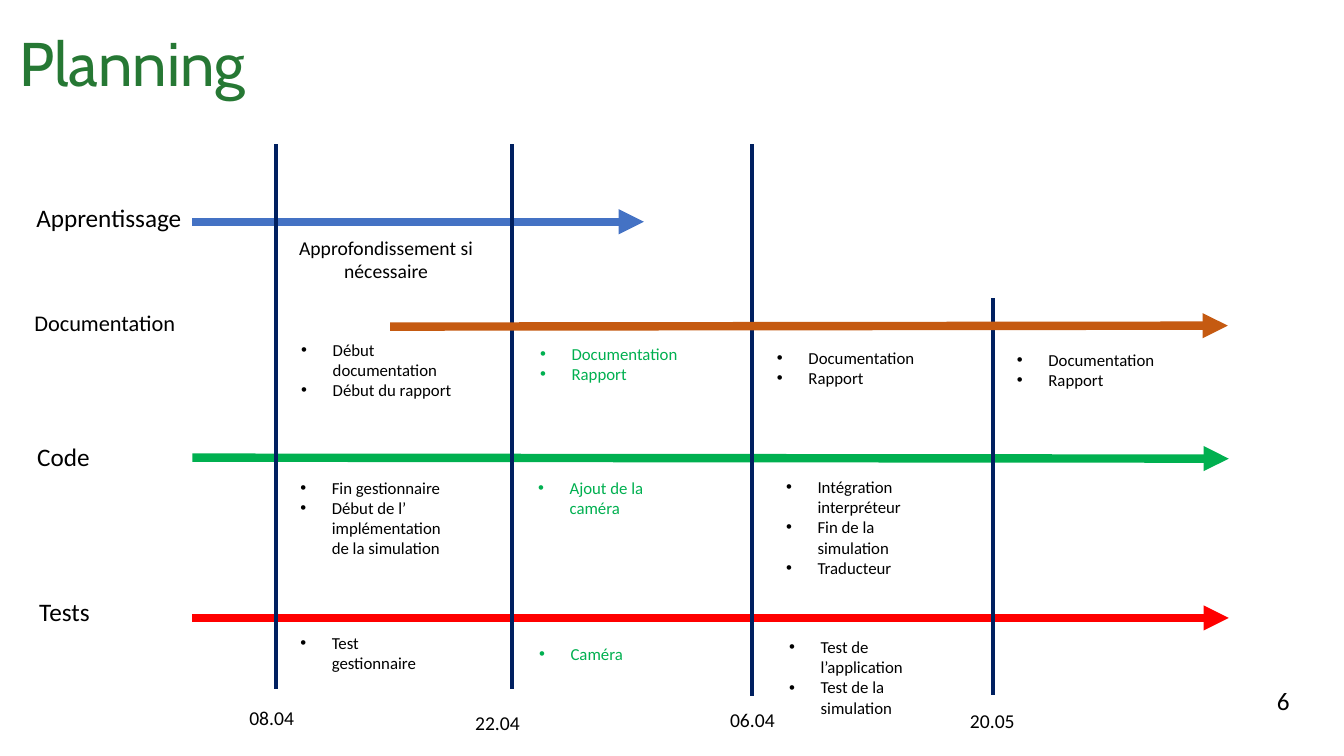
from lxml.etree import SubElement
from pptx import Presentation
from pptx.dml.color import RGBColor
from pptx.enum.shapes import MSO_CONNECTOR
from pptx.enum.text import MSO_ANCHOR, PP_ALIGN
from pptx.oxml.ns import qn
from pptx.util import Pt

BLACK, NAVY, BLUE, GREEN = "000000", "002060", "4472C4", "00B050"
RED, ORANGE, TITLE_GREEN = "FF0000", "C55A11", "267834"

WIDE, NARROW = 127.4, 110.2
INDENT = 22.5

# name, label left, label top, size
TRACK_LABELS = [
    ("Apprentissage", 18, 141.1, 18),
    ("Documentation", 15.1, 217.4, 16),
    ("Code", -14.4, 311.8, 18),
    ("Tests", -13.7, 422.6, 18),
]

# colour, start x, start y, end x, end y
TRACK_ARROWS = [
    (BLUE, 137.5, 158.4, 460, 158.4),
    (GREEN, 137.5, 326.9, 877.7, 327.6),
    (RED, 137.5, 441.4, 877.7, 441.4),
]
DOCUMENTATION_ARROW = (ORANGE, 278.6, 233.3, 877, 232.6)

# date, line x, line top, line bottom, date left, date top
MILESTONES = [
    ("08.04", 197.3, 103, 492.5, 128.9, 500.4),
    ("22.04", 365.8, 103, 492.5, 290.2, 504),
    ("06.04", 537.1, 103, 496.8, 472.3, 501.8),
    ("20.05", 709.2, 213.1, 496.1, 643.7, 502.6),
]

# left, top, width, height, colour, items
TASK_LISTS = [
    (208.1, 239, WIDE, 80, BLACK, ["Début documentation", "Début du rapport"]),
    (378.7, 241.9, WIDE, 65.5, GREEN, ["Documentation", "Rapport"]),
    (547.9, 244.8, WIDE, 65.5, BLACK, ["Documentation", "Rapport"]),
    (719.3, 246.2, WIDE, 65.5, BLACK, ["Documentation", "Rapport"]),
    (207.4, 337.7, WIDE, 80, BLACK,
     ["Fin gestionnaire", "Début de l’ implémentation de la simulation"]),
    (377.3, 337.7, WIDE, 65.5, GREEN, ["Ajout de la caméra"]),
    (554.4, 337, WIDE, 108.7, BLACK,
     ["Intégration interpréteur", "Fin de la simulation", "Traducteur"]),
    (207.4, 448.6, NARROW, 36, BLACK, ["Test gestionnaire"]),
    (378, 456.5, NARROW, 21.6, GREEN, ["Caméra"]),
    (556.6, 451.4, NARROW, 80, BLACK,
     ["Test de l’application", "Test de la simulation"]),
]


def color(hex_text):
    return RGBColor.from_string(hex_text)


def set_values(target, values):
    for name, value in values.items():
        setattr(target, name, value)


class PlanningSlide:
    """Holds the text style and the slide being drawn."""

    font_name = "Calibri"
    title_font = "Cabin"

    def __init__(self, deck):
        self.page = deck.slides.add_slide(deck.slide_layouts[5])
        self.shapes = self.page.shapes

    def style(self, para, size, hex_text, font_name=None):
        set_values(para.font, {"name": font_name or self.font_name, "size": Pt(size)})
        para.font.color.rgb = color(hex_text)

    def title(self, text, left, top, width, height):
        box = self.shapes.title
        set_values(box, {"left": Pt(left), "top": Pt(top),
                         "width": Pt(width), "height": Pt(height)})
        set_values(box.text_frame, {"text": text, "word_wrap": True,
                                    "vertical_anchor": MSO_ANCHOR.MIDDLE})
        para = box.text_frame.paragraphs[0]
        set_values(para, {"alignment": PP_ALIGN.LEFT, "line_spacing": 0.9})
        self.style(para, 44, TITLE_GREEN, self.title_font)

    def frame(self, left, top, width, height, wrap=True):
        box = self.shapes.add_textbox(Pt(left), Pt(top), Pt(width), Pt(height))
        box.text_frame.word_wrap = wrap
        return box.text_frame

    def label(self, text, left, top, width, height, size,
              alignment=PP_ALIGN.CENTER, wrap=True):
        para = self.frame(left, top, width, height, wrap).paragraphs[0]
        set_values(para, {"text": text, "alignment": alignment})
        self.style(para, size, BLACK)

    def bullets(self, left, top, width, height, hex_text, items):
        frame = self.frame(left, top, width, height)
        for index, item in enumerate(items):
            para = frame.add_paragraph() if index else frame.paragraphs[0]
            para.text = item
            properties = para._p.get_or_add_pPr()
            properties.set("marL", str(Pt(INDENT)))
            properties.set("indent", str(-Pt(INDENT)))
            SubElement(properties, qn("a:buFont"), typeface="Arial")
            SubElement(properties, qn("a:buChar"), char="•")
            self.style(para, 12, hex_text)

    def line(self, hex_text, start_x, start_y, end_x, end_y, weight=3, arrow=False):
        line = self.shapes.add_connector(
            MSO_CONNECTOR.STRAIGHT, Pt(start_x), Pt(start_y), Pt(end_x), Pt(end_y))
        line.line.width = Pt(weight)
        line.line.color.rgb = color(hex_text)
        if arrow:
            SubElement(line.line._get_or_add_ln(), qn("a:tailEnd"), type="triangle")
        SubElement(line._element.spPr, qn("a:effectLst"))


def main():
    deck = Presentation()
    set_values(deck, {"slide_width": Pt(960), "slide_height": Pt(540)})
    planning = PlanningSlide(deck)

    planning.title("Planning", 6.5, -4.3, 828, 104.4)
    for arrow in TRACK_ARROWS:
        planning.line(*arrow, weight=6, arrow=True)
    for name, left, top, size in TRACK_LABELS:
        planning.label(name, left, top, 119.5, 28.8, size)
    for date, x, line_top, line_bottom, left, top in MILESTONES:
        planning.line(NAVY, x, line_top, x, line_bottom)
        planning.label(date, left, top, 130.3, 46, 14)
    planning.line(*DOCUMENTATION_ARROW, weight=6, arrow=True)
    planning.label("Approfondissement si nécessaire", 186.5, 164.9, 178.6, 41, 14)
    for task_list in TASK_LISTS:
        planning.bullets(*task_list)
    planning.label("6", 905, 486, 23.8, 28.8, 18, PP_ALIGN.LEFT, wrap=False)

    deck.save("out.pptx")


if __name__ == "__main__":
    main()
